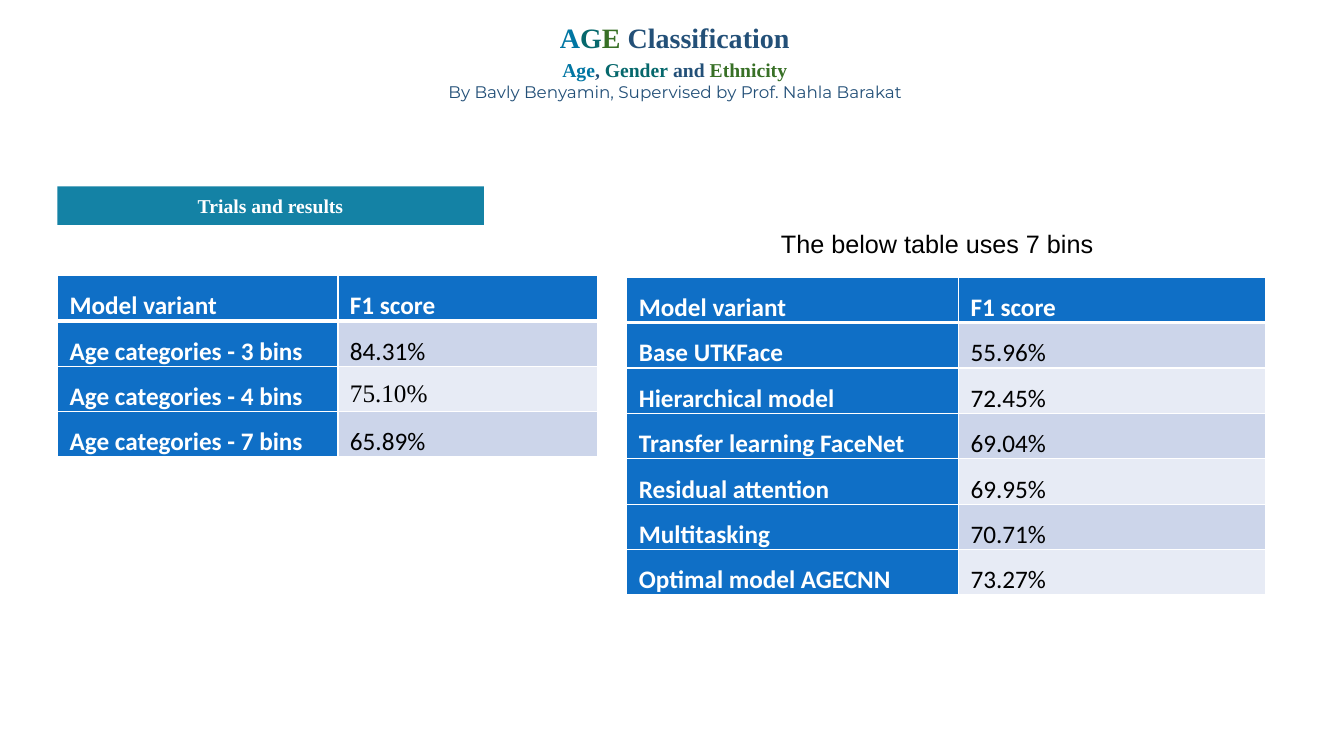
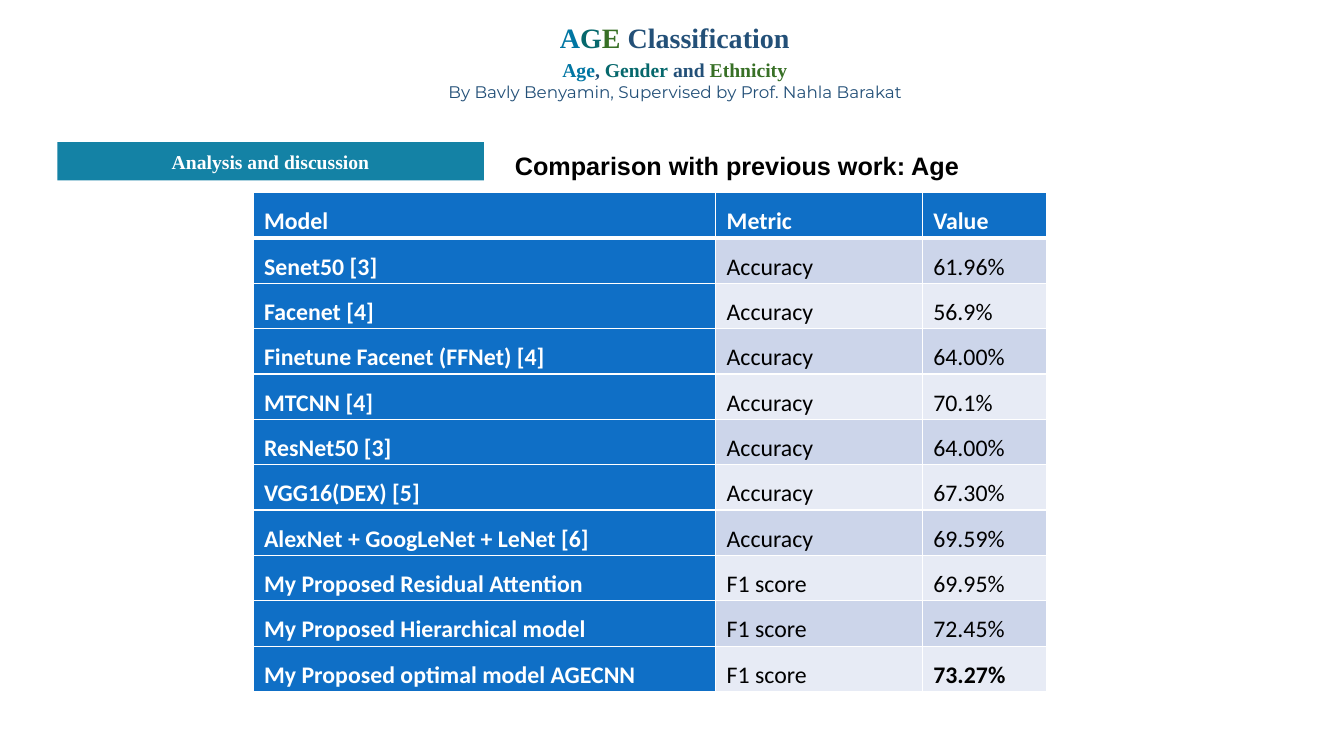
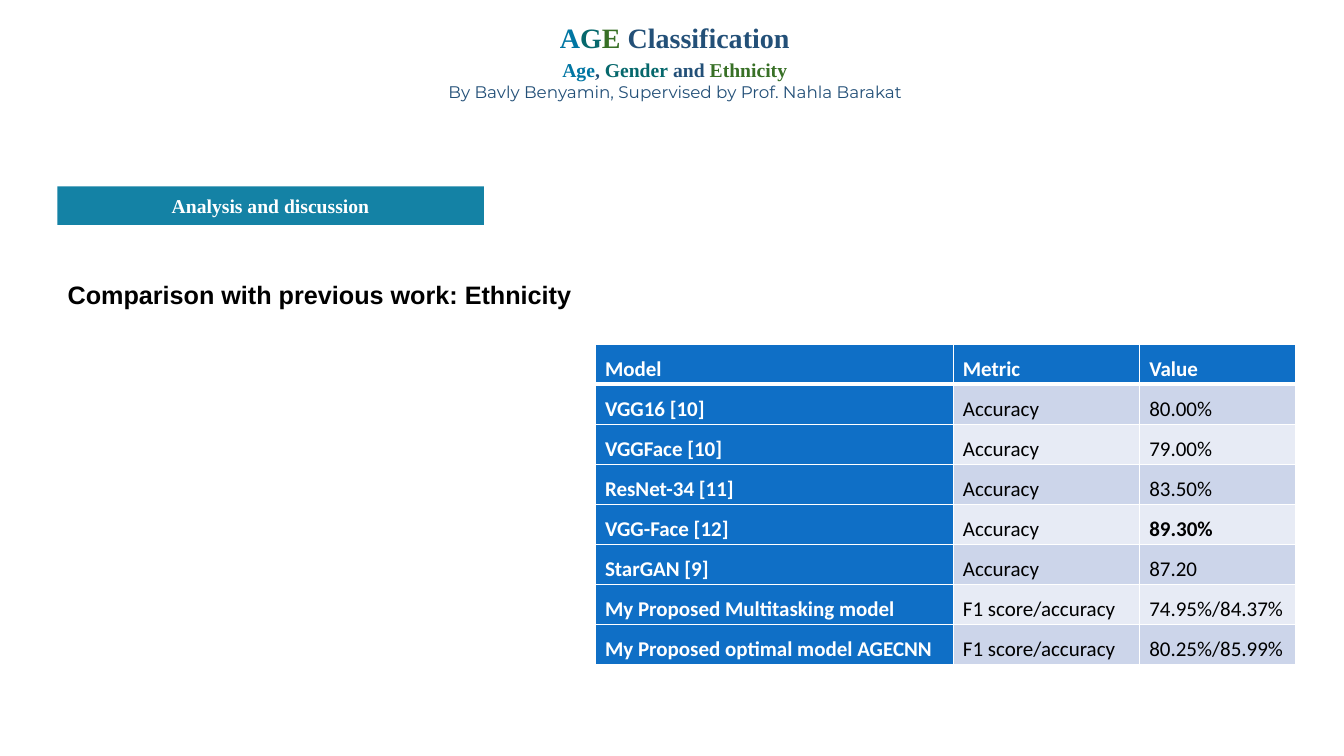
from lxml import etree
from pptx import Presentation
from pptx.dml.color import RGBColor
from pptx.enum import shapes, text
from pptx.oxml.ns import qn
from pptx.util import Pt

SERIF, SANS, TABLE_FONT = "Times New Roman", "Arial", "Calibri"
BLUE, TEAL, GREEN, NAVY = "0076A3", "06686C", "387026", "235078"
WHITE, BLACK, BANNER, HEAD = "FFFFFF", "000000", "1482A5", "0F6FC6"
BANDS = ("CCD5EA", "E7EBF5")

TITLE_LINES = [
    (20, [("A", BLUE), ("G", TEAL), ("E", GREEN), (" Classification", NAVY)]),
    (14, [("Age", BLUE), (", ", NAVY), ("Gender", TEAL), (" and ", NAVY), ("Ethnicity", GREEN)]),
]
BYLINE = "By Bavly Benyamin, Supervised by Prof. Nahla Barakat"

SLIDES = [
    {
        "banner": ("Trials and results", 133.2),
        "caption": ("The below table uses 7 bins", (550.8, 138.2, 326.2, 44.6), 2, False),
        "tables": [
            {
                "at": (41.2, 196.7), "columns": (200.2, 185.8), "row": 32.4, "size": 18, "inset": 8.6,
                "rows": [
                    ("Model variant", "F1 score"),
                    ("Age categories - 3 bins", "84.31%"),
                    ("Age categories - 4 bins", "75.10%"),
                    ("Age categories - 7 bins", "65.89%"),
                ],
                "special": {(2, 1): {"name": SERIF}},
            },
            {
                "at": (447.8, 198), "columns": (236.9, 219.6), "row": 32.4, "size": 18, "inset": 8.6,
                "rows": [
                    ("Model variant", "F1 score"),
                    ("Base UTKFace", "55.96%"),
                    ("Hierarchical model", "72.45%"),
                    ("Transfer learning FaceNet", "69.04%"),
                    ("Residual attention", "69.95%"),
                    ("Multitasking", "70.71%"),
                    ("Optimal model AGECNN", "73.27%"),
                ],
            },
        ],
    },
    {
        "banner": ("Analysis and discussion", 101.5),
        "caption": ("Comparison with previous work: Age", (360.7, 92.9, 347, 36), 1.5, True),
        "tables": [
            {
                "at": (180.7, 137.5), "columns": (330.5, 147.6, 88.6), "row": 32.4, "size": 17, "inset": 7.9,
                "rows": [
                    ("Model", "Metric", "Value"),
                    ("Senet50 [3]", "Accuracy", "61.96%"),
                    ("Facenet [4]", "Accuracy", "56.9%"),
                    ("Finetune Facenet (FFNet) [4]", "Accuracy", "64.00%"),
                    ("MTCNN [4]", "Accuracy", "70.1%"),
                    ("ResNet50 [3]", "Accuracy", "64.00%"),
                    ("VGG16(DEX) [5]", "Accuracy", "67.30%"),
                    ("AlexNet + GoogLeNet + LeNet [6]", "Accuracy", "69.59%"),
                    ("My Proposed Residual Attention", "F1 score", "69.95%"),
                    ("My Proposed Hierarchical model", "F1 score", "72.45%"),
                    ("My Proposed optimal model AGECNN", "F1 score", "73.27%"),
                ],
                "special": {(10, 2): {"bold": True}},
            },
        ],
    },
    {
        "banner": ("Analysis and discussion", 133.2),
        "caption": ("Comparison with previous work: Ethnicity", (41.2, 185, 375.8, 36), 1.5, True),
        "tables": [
            {
                "at": (425.2, 245.8), "columns": (255.6, 133.2, 111.6), "row": 28.6, "size": 15, "inset": 7,
                "rows": [
                    ("Model", "Metric", "Value"),
                    ("VGG16 [10]", "Accuracy", "80.00%"),
                    ("VGGFace [10]", "Accuracy", "79.00%"),
                    ("ResNet-34 [11]", "Accuracy", "83.50%"),
                    ("VGG-Face [12]", "Accuracy", "89.30%"),
                    ("StarGAN [9]", "Accuracy", "87.20"),
                    ("My Proposed Multitasking model", "F1 score/accuracy", "74.95%/84.37%"),
                    ("My Proposed optimal model AGECNN", "F1 score/accuracy", "80.25%/85.99%"),
                ],
                "special": {(4, 2): {"bold": True}},
            },
        ],
    },
]


def color(value):
    return RGBColor.from_string(value)


def apply(target, **values):
    for name, value in values.items():
        setattr(target, name, value)


def place(box, left, top, width, height):
    apply(box, left=Pt(left), top=Pt(top), width=Pt(width), height=Pt(height))


def add_span(para, words, size, fill, name, bold=False):
    span = para.add_run()
    span.text = words
    apply(span.font, size=Pt(size), name=name, bold=bold)
    span.font.color.rgb = color(fill)


def set_frame(frame, across=0, down=0, **values):
    apply(frame, margin_left=Pt(across), margin_right=Pt(across),
          margin_top=Pt(down), margin_bottom=Pt(down), **values)


def add_header(page):
    title = page.shapes.title
    place(title, 379.4, 14.5, 205.2, 38.2)
    frame = title.text_frame
    set_frame(frame, word_wrap=True, vertical_anchor=text.MSO_ANCHOR.TOP,
              auto_size=text.MSO_AUTO_SIZE.NONE)
    for index, (size, spans) in enumerate(TITLE_LINES):
        para = frame.add_paragraph() if index else frame.paragraphs[0]
        apply(para, alignment=text.PP_ALIGN.CENTER, space_before=Pt(2.8 if index else 0))
        for words, fill in spans:
            add_span(para, words, size, fill, SERIF, True)

    byline = page.shapes.add_textbox(Pt(305.3), Pt(58.3), Pt(354.2), Pt(14.4))
    set_frame(byline.text_frame, word_wrap=True)
    para = byline.text_frame.paragraphs[0]
    para.alignment = text.PP_ALIGN.CENTER
    add_span(para, BYLINE, 12, NAVY, "Montserrat")


def add_banner(page, words, top):
    banner = page.shapes.add_shape(shapes.MSO_SHAPE.RECTANGLE, Pt(41), Pt(top), Pt(304.6), Pt(27.4))
    banner.shadow.inherit = False
    banner.fill.solid()
    banner.fill.fore_color.rgb = color(BANNER)
    banner.line.fill.background()
    set_frame(banner.text_frame, 2, 1.5, word_wrap=False, vertical_anchor=text.MSO_ANCHOR.MIDDLE)
    para = banner.text_frame.paragraphs[0]
    para.alignment = text.PP_ALIGN.CENTER
    add_span(para, words, 14, WHITE, SERIF, True)


def add_caption(page, words, area, spacing, bold):
    caption = page.shapes.add_textbox(*map(Pt, area))
    caption.text_frame.word_wrap = True
    para = caption.text_frame.paragraphs[0]
    para.line_spacing = spacing
    add_span(para, words, 18, BLACK, SANS, bold)


def set_borders(cell, row):
    widths = {"L": 1, "R": 1, "T": 3 if row == 1 else 1, "B": 3 if row == 0 else 1}
    properties = cell._tc.get_or_add_tcPr()
    for side, width in widths.items():
        line = etree.SubElement(properties, qn("a:ln" + side), w=str(Pt(width)))
        fill = etree.SubElement(line, qn("a:solidFill"))
        etree.SubElement(fill, qn("a:srgbClr"), val=WHITE)


def add_grid(page, at, columns, row, size, inset, rows, special=None):
    left, top = at
    grid = page.shapes.add_table(len(rows), len(columns), Pt(left), Pt(top),
                                 Pt(sum(columns)), Pt(row * len(rows))).table
    grid.first_col = True
    for column, width in zip(grid.columns, columns):
        column.width = Pt(width)
    for r, entries in enumerate(rows):
        grid.rows[r].height = Pt(row)
        for c, words in enumerate(entries):
            cell = grid.cell(r, c)
            heading = r == 0 or c == 0
            set_borders(cell, r)
            cell.fill.solid()
            cell.fill.fore_color.rgb = color(HEAD if heading else BANDS[(r - 1) % 2])
            set_frame(cell, inset)
            para = cell.text_frame.paragraphs[0]
            apply(para, line_spacing=1.5, space_after=Pt(6))
            look = {"name": TABLE_FONT, "bold": heading, **(special or {}).get((r, c), {})}
            add_span(para, words, size, WHITE if heading else BLACK, **look)


def main():
    deck = Presentation()
    apply(deck, slide_width=Pt(960), slide_height=Pt(540))
    for content in SLIDES:
        page = deck.slides.add_slide(deck.slide_layouts[5])
        add_header(page)
        add_banner(page, *content["banner"])
        add_caption(page, *content["caption"])
        for table in content["tables"]:
            add_grid(page, **table)
    deck.save("out.pptx")


if __name__ == "__main__":
    main()
